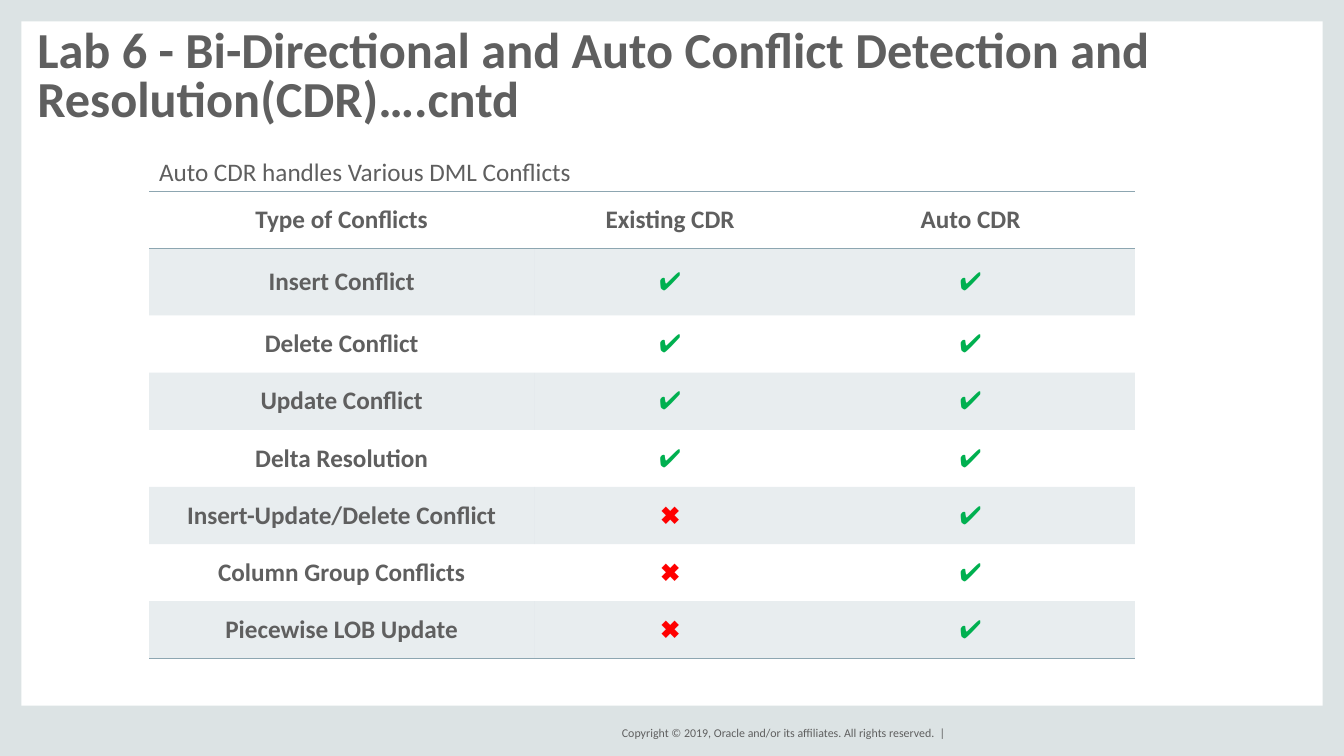
from lxml import etree
from pptx import Presentation
from pptx.dml.color import RGBColor
from pptx.enum.shapes import MSO_SHAPE
from pptx.enum.text import MSO_ANCHOR, PP_ALIGN
from pptx.oxml.ns import qn
from pptx.util import Cm, Pt

GRAY, FRAME, STEEL = "5F5F5F", "DCE3E4", "8DA6B1"
MARKS = {"✔": "00B050", "✖": "FF0000"}
NO_STYLE = "{2D5ABB26-0587-4C30-8999-92F81FD0307C}"
SLIDE_W, SLIDE_H = 33.87, 19.05
BAND = 0.54

HEADER = ["Type of Conflicts", "Existing CDR", "Auto CDR"]
CONFLICTS = [
    ("Insert Conflict", "✔", "✔"),
    ("Delete Conflict", "✔", "✔"),
    ("Update Conflict", "✔", "✔"),
    ("Delta Resolution", "✔", "✔"),
    ("Insert-Update/Delete Conflict", "✖", "✔"),
    ("Column Group Conflicts", "✖", "✔"),
    ("Piecewise LOB Update", "✖", "✔"),
]
COL_WIDTHS = [9.7, 6.86, 8.28]
ROW_HEIGHTS = [1.44, 1.68] + [1.44] * 6


def color(hex_string):
    return RGBColor.from_string(hex_string)


def add_run(p, text, size, hex_color=GRAY, bold=False, font="Calibri"):
    r = p.add_run()
    r.text = text
    r.font.name = font
    r.font.size = Pt(size)
    r.font.bold = bold
    r.font.color.rgb = color(hex_color)


def add_band(s, x, y, w, h):
    sp = s.shapes.add_shape(MSO_SHAPE.RECTANGLE, Cm(x), Cm(y), Cm(w), Cm(h))
    sp.shadow.inherit = False
    sp.fill.solid()
    sp.fill.fore_color.rgb = color(FRAME)
    sp.line.fill.background()


def add_text(s, x, y, w, h, text, size, bold=False, align=PP_ALIGN.LEFT,
             anchor=MSO_ANCHOR.TOP, spacing=None, inset=True):
    sp = s.shapes.add_textbox(Cm(x), Cm(y), Cm(w), Cm(h))
    tf = sp.text_frame
    tf.word_wrap = True
    tf.vertical_anchor = anchor
    if not inset:
        tf.margin_left = tf.margin_right = tf.margin_top = tf.margin_bottom = 0
    p = tf.paragraphs[0]
    p.alignment = align
    p.line_spacing = spacing
    add_run(p, text, size, bold=bold)


def tint_cell(cell):
    cell.fill.solid()
    cell.fill.fore_color.rgb = color(STEEL)
    srgb = cell.fill._xPr.find(qn("a:solidFill")).find(qn("a:srgbClr"))
    etree.SubElement(srgb, qn("a:alpha"), val="20000")


def add_borders(cell, sides):
    """Draw 1 pt lines; borders come before the fill in the cell properties."""
    tc_pr = cell._tc.get_or_add_tcPr()
    for i, side in enumerate(sides):
        ln = etree.Element(qn(f"a:ln{side}"), w=str(Pt(1)))
        fill = etree.SubElement(ln, qn("a:solidFill"))
        etree.SubElement(fill, qn("a:srgbClr"), val=STEEL)
        tc_pr.insert(i, ln)


def add_conflict_table(s, x, y):
    rows = [HEADER, *CONFLICTS]
    frame = s.shapes.add_table(len(rows), len(HEADER), Cm(x), Cm(y),
                               Cm(sum(COL_WIDTHS)), Cm(sum(ROW_HEIGHTS)))
    table = frame.table
    table.first_row = table.horz_banding = False
    table._tbl.tblPr.find(qn("a:tableStyleId")).text = NO_STYLE
    for column, width in zip(table.columns, COL_WIDTHS):
        column.width = Cm(width)
    for row, height in zip(table.rows, ROW_HEIGHTS):
        row.height = Cm(height)

    borders = {0: "TB", len(rows) - 1: "B"}
    for i, texts in enumerate(rows):
        for j, text in enumerate(texts):
            cell = table.cell(i, j)
            cell.vertical_anchor = MSO_ANCHOR.MIDDLE
            p = cell.text_frame.paragraphs[0]
            p.alignment = PP_ALIGN.CENTER
            add_run(p, text, 18, MARKS.get(text, GRAY), bold=True,
                    font="Arial" if text in MARKS else "Calibri")
            if i % 2:
                tint_cell(cell)
            else:
                cell.fill.background()
            add_borders(cell, borders.get(i, ""))


def main():
    prs = Presentation()
    prs.slide_width, prs.slide_height = Cm(SLIDE_W), Cm(SLIDE_H)
    s = prs.slides.add_slide(prs.slide_layouts[6])

    # Frame around the slide
    add_band(s, 0, 0, BAND, SLIDE_H)
    add_band(s, SLIDE_W - BAND, 0, BAND, SLIDE_H)
    add_band(s, 0, 17.78, SLIDE_W, SLIDE_H - 17.78)
    add_band(s, 0, 0, SLIDE_W, BAND)

    # Footer and title
    add_text(s, 14.94, 18.21, 8.89, 0.51,
             "Copyright © 2019, Oracle and/or its affiliates. All rights reserved.  |",
             8.5, align=PP_ALIGN.RIGHT, anchor=MSO_ANCHOR.MIDDLE, inset=False)
    add_text(s, 0.94, 0.71, 30.86, 2.49,
             "Lab 6 - Bi-Directional and Auto Conflict Detection and Resolution(CDR)….cntd",
             36, bold=True, anchor=MSO_ANCHOR.BOTTOM, spacing=0.8, inset=False)

    # Conflict table with its caption
    add_conflict_table(s, 3.76, 4.83)
    add_text(s, 3.76, 3.81, 11.5, 1.02, "Auto CDR handles Various DML Conflicts", 18)

    prs.save("out.pptx")


if __name__ == "__main__":
    main()
